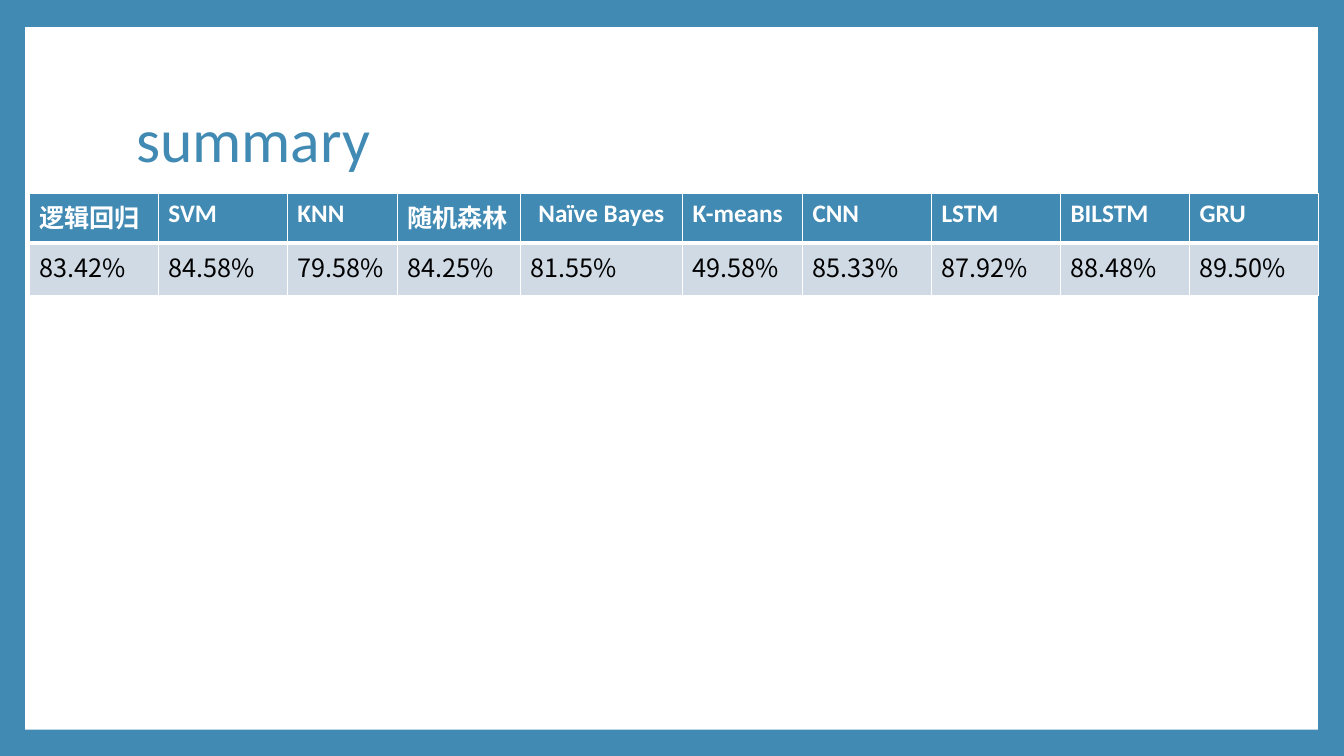
from lxml import etree
from pptx import Presentation
from pptx.dml.color import RGBColor
from pptx.enum.shapes import MSO_SHAPE
from pptx.enum.text import MSO_ANCHOR, PP_ALIGN
from pptx.oxml.ns import qn
from pptx.util import Inches, Pt

RECTANGLE = MSO_SHAPE.RECTANGLE
MIDDLE = MSO_ANCHOR.MIDDLE
LEFT, CENTER = PP_ALIGN.LEFT, PP_ALIGN.CENTER

COLORS = {"blue": "418AB3", "pale": "CFDAE5", "white": "FFFFFF", "black": "000000"}
LATIN, CJK = "Calibri", "Noto Sans CJK SC"

# model, accuracy, column width
RESULTS = [
    ("逻辑回归", "83.42%", 1.28),
    ("SVM", "84.58%", 1.28),
    ("KNN", "79.58%", 1.09),
    ("随机森林", "84.25%", 1.22),
    ("Naïve Bayes", "81.55%", 1.61),
    ("K-means", "49.58%", 1.19),
    ("CNN", "85.33%", 1.28),
    ("LSTM", "87.92%", 1.28),
    ("BILSTM", "88.48%", 1.28),
    ("GRU", "89.50%", 1.28),
]


def write(frame, text, size=18, font=LATIN, color="black", bold=False, align=LEFT):
    paragraph = frame.paragraphs[0]
    paragraph.alignment = align
    run = paragraph.add_run()
    run.text = text
    run.font.size = Pt(size)
    run.font.bold = bold
    run.font.color.rgb = RGBColor.from_string(COLORS[color])
    run.font.name = font
    etree.SubElement(run.font._element, qn("a:ea"), typeface=CJK)
    return paragraph


def style_cell(cell, fill, widths):
    properties = cell._tc.get_or_add_tcPr()
    for side, width in widths.items():
        border = etree.SubElement(properties, qn(f"a:ln{side}"), w=str(Pt(width)))
        solid = etree.SubElement(border, qn("a:solidFill"))
        etree.SubElement(solid, qn("a:srgbClr"), val=COLORS["white"])
    cell.fill.solid()
    cell.fill.fore_color.rgb = RGBColor.from_string(COLORS[fill])


deck = Presentation()
deck.slide_width, deck.slide_height = Inches(13.33), Inches(7.5)
slide = deck.slides.add_slide(deck.slide_layouts[5])

# Blue frame around a white page
slide.background.fill.solid()
slide.background.fill.fore_color.rgb = RGBColor.from_string(COLORS["blue"])
page = slide.shapes.add_shape(RECTANGLE, Inches(0.25), Inches(0.27), Inches(12.82), Inches(6.97))
page.shadow.inherit = False
page.fill.solid()
page.fill.fore_color.rgb = RGBColor.from_string(COLORS["white"])
page.line.fill.background()
slide.shapes._spTree.insert(2, page._element)

# Title
title = slide.shapes.title
title.left, title.top = Inches(1.25), Inches(0.67)
title.width, title.height = Inches(10.8), Inches(1.48)
title.text_frame.vertical_anchor = MIDDLE
write(title.text_frame, "summary", size=44, color="blue").line_spacing = 0.9

# Accuracy of each model
accuracy = slide.shapes.add_table(
    2, len(RESULTS), Inches(0.29), Inches(1.92), Inches(12.75), Inches(1.01)
).table
accuracy.rows[0].height, accuracy.rows[1].height = Inches(0.49), Inches(0.52)
for column, (model, score, width) in enumerate(RESULTS):
    accuracy.columns[column].width = Inches(width)
    heading, value = accuracy.cell(0, column), accuracy.cell(1, column)
    style_cell(heading, "blue", {"L": 1, "R": 1, "T": 1, "B": 3})
    style_cell(value, "pale", {"L": 1, "R": 1, "T": 3, "B": 1})
    align = CENTER if model == "Naïve Bayes" else LEFT
    write(heading.text_frame, model, color="white", bold=True, align=align)
    write(value.text_frame, score, font=CJK)

deck.save("out.pptx")
